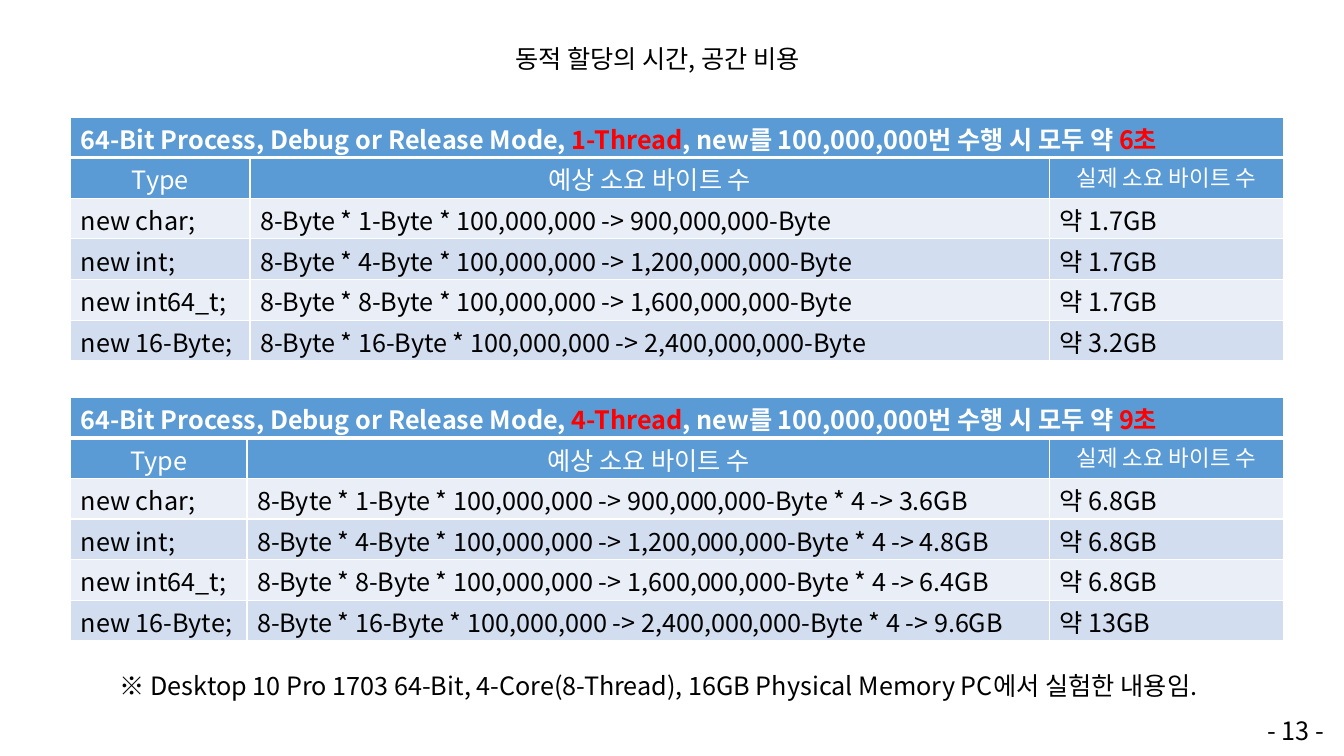
from lxml import etree
from pptx import Presentation
from pptx.dml.color import RGBColor
from pptx.enum.text import PP_ALIGN
from pptx.oxml.ns import qn
from pptx.util import Inches, Pt

LEFT, MID = PP_ALIGN.LEFT, PP_ALIGN.CENTER
FONT = "Noto Sans CJK KR"
HUES = {"head": "5B9BD5", "light": "EAEFF7", "dark": "D2DEEF",
        "white": "FFFFFF", "red": "FF0000", "black": "000000"}

# Content: text with left, top, width
NOTES = [
    ("동적 할당의 시간, 공간 비용", 5.01, 0.43, 3.39),
    ("※ Desktop 10 Pro 1703 64-Bit, 4-Core(8-Thread), 16GB Physical Memory PC에서 실험한 내용임.",
     1.09, 6.65, 11.24),
    ("- 13 -", 12.47, 7.1, 0.86),
]
HEADS = [("Type", 18), ("예상 소요 바이트 수", 18), ("실제 소요 바이트 수", 16)]
TYPES = [
    ("new char;", "8-Byte * 1-Byte * 100,000,000 -> 900,000,000-Byte"),
    ("new int;", "8-Byte * 4-Byte * 100,000,000 -> 1,200,000,000-Byte"),
    ("new int64_t;", "8-Byte * 8-Byte * 100,000,000 -> 1,600,000,000-Byte"),
    ("new 16-Byte;", "8-Byte * 16-Byte * 100,000,000 -> 2,400,000,000-Byte"),
]
TESTS = [
    {"top": 1.16, "first": 1.78, "thread": "1-Thread", "time": "6초",
     "extra": ["", "", "", ""],
     "real": ["1.7GB", "1.7GB", "1.7GB", "3.2GB"]},
    {"top": 3.94, "first": 1.75, "thread": "4-Thread", "time": "9초",
     "extra": [" * 4 -> 3.6GB", " * 4 -> 4.8GB", " * 4 -> 6.4GB", " * 4 -> 9.6GB"],
     "real": ["6.8GB", "6.8GB", "6.8GB", "13GB"]},
]

# Grid of each table
X, WIDE, TALL, LAST = 0.7, 12.03, 2.42, 2.32
ROWS = 2 + len(TYPES)


def add_run(para, text, hue, size=18, bold=False):
    run = para.add_run()
    run.text = text
    font = run.font
    font.name, font.size, font.bold = FONT, Pt(size), bold
    font.color.rgb = RGBColor.from_string(HUES[hue])
    etree.SubElement(run._r.get_or_add_rPr(), qn("a:ea"), typeface=FONT)


def set_edges(cell, low=1):
    props = cell._tc.get_or_add_tcPr()
    for spot, (tag, width) in enumerate(
            [("a:lnL", 1), ("a:lnR", 1), ("a:lnT", 1), ("a:lnB", low)]):
        line = etree.Element(qn(tag), w=str(Pt(width)))
        fill = etree.SubElement(line, qn("a:solidFill"))
        etree.SubElement(fill, qn("a:srgbClr"), val=HUES["white"])
        props.insert(spot, line)


def fill_cell(cell, runs, back, align=LEFT, low=1):
    cell.fill.solid()
    cell.fill.fore_color.rgb = RGBColor.from_string(HUES[back])
    cell.margin_top, cell.margin_bottom = Inches(0.03), 0
    para = cell.text_frame.paragraphs[0]
    para.alignment = align
    for run in runs:
        add_run(para, *run)
    set_edges(cell, low)


def add_test(slide, test):
    grid = slide.shapes.add_table(
        ROWS, 3, Inches(X), Inches(test["top"]), Inches(WIDE), Inches(TALL)).table
    first = test["first"]
    for col, width in zip(grid.columns, (first, WIDE - first - LAST, LAST)):
        col.width = Inches(width)
    for row in grid.rows:
        row.height = Inches(TALL / ROWS)

    # Title row across all columns
    grid.cell(0, 0).merge(grid.cell(0, 2))
    title = [("64-Bit Process, Debug or Release Mode, ", "white"),
             (test["thread"], "red"),
             (", new를 100,000,000번 수행 시 모두 약 ", "white"),
             (test["time"], "red")]
    fill_cell(grid.cell(0, 0), [(text, hue, 18, True) for text, hue in title],
              "head", low=3)
    for c in (1, 2):
        fill_cell(grid.cell(0, c), [], "head", low=3)

    # Column heads
    for c, (text, size) in enumerate(HEADS):
        fill_cell(grid.cell(1, c), [(text, "white", size)], "head", MID)

    # Banded body
    body = zip(TYPES, test["extra"], test["real"])
    for r, ((kind, guess), extra, real) in enumerate(body):
        back = "dark" if r % 2 else "light"
        for c, text in enumerate((kind, guess + extra, "약 " + real)):
            fill_cell(grid.cell(r + 2, c), [(text, "black")], back)


def add_note(slide, text, left, top, width):
    box = slide.shapes.add_textbox(
        Inches(left), Inches(top), Inches(width), Inches(0.4))
    frame = box.text_frame
    frame.word_wrap = True
    frame.margin_top = frame.margin_bottom = frame.margin_right = 0
    add_run(frame.paragraphs[0], text, "black")


def main():
    deck = Presentation()
    deck.slide_width, deck.slide_height = Inches(13.33), Inches(7.5)
    slide = deck.slides.add_slide(deck.slide_layouts[6])
    for note in NOTES:
        add_note(slide, *note)
    for test in TESTS:
        add_test(slide, test)
    deck.save("out.pptx")


if __name__ == "__main__":
    main()
